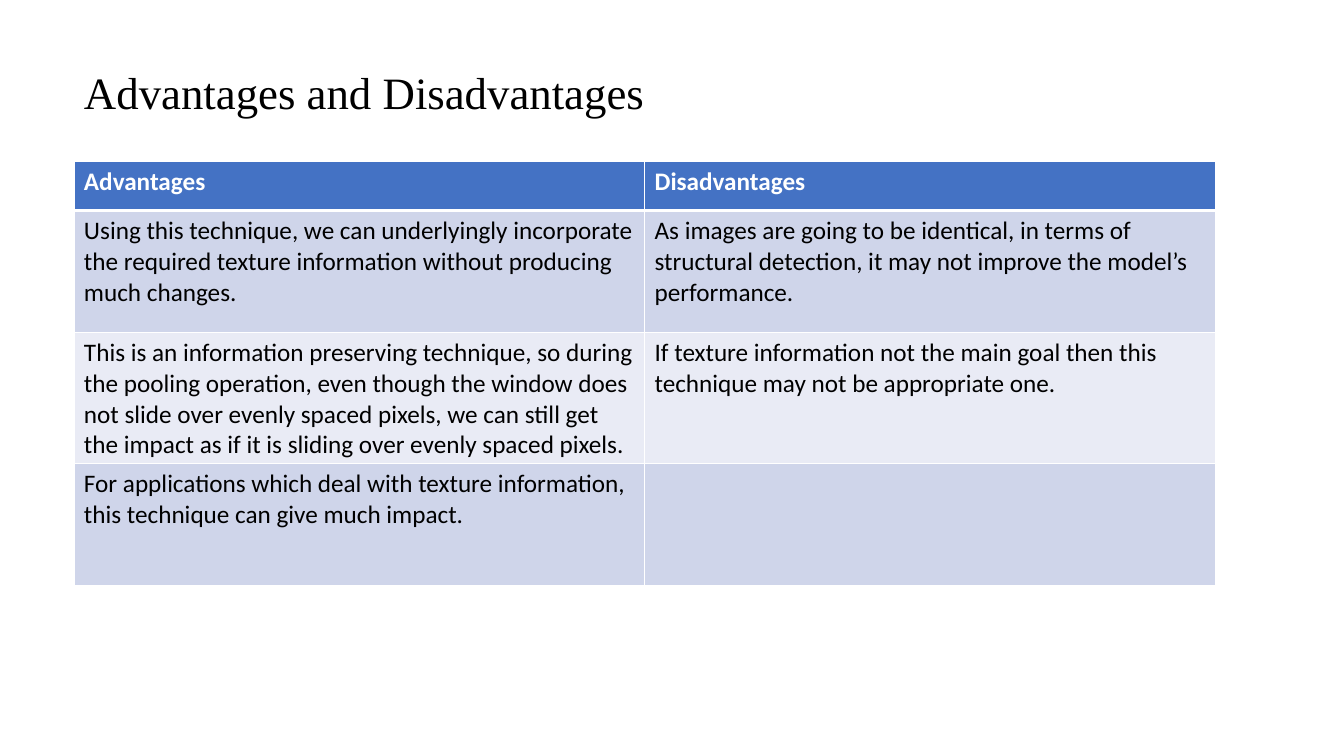
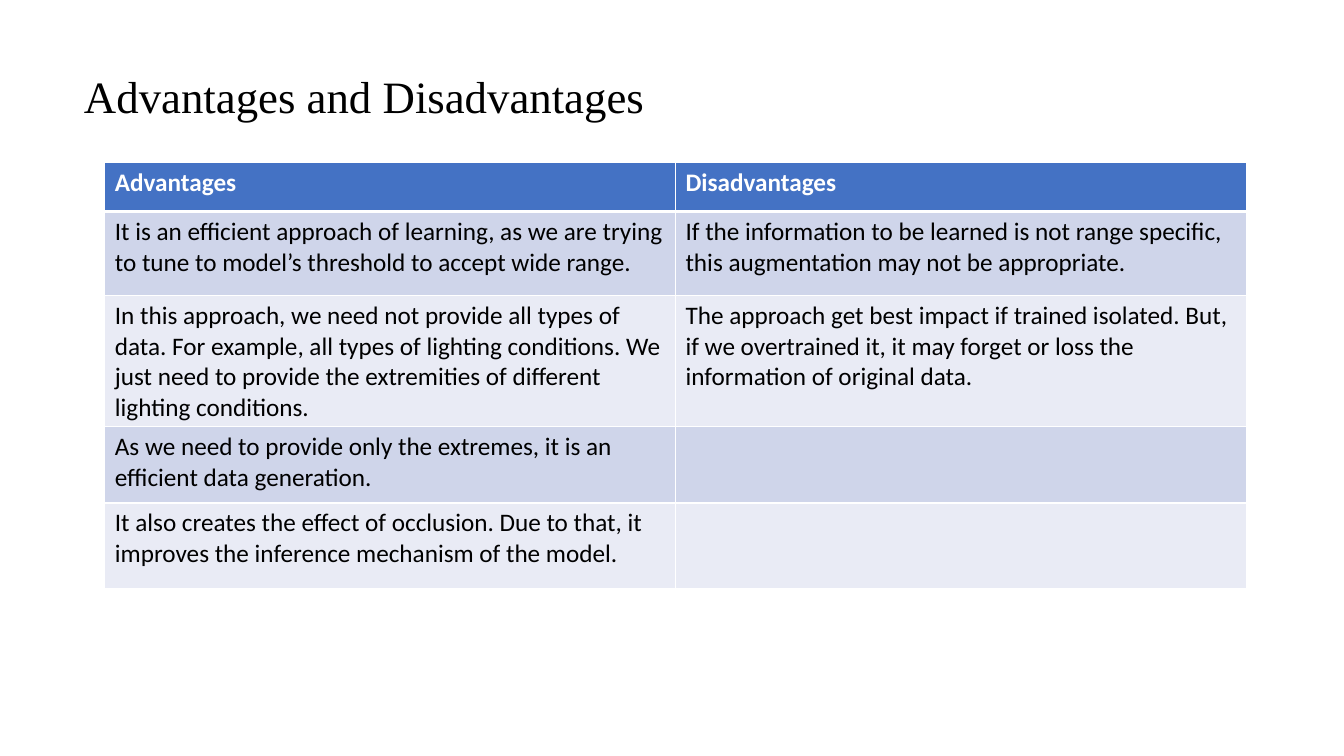
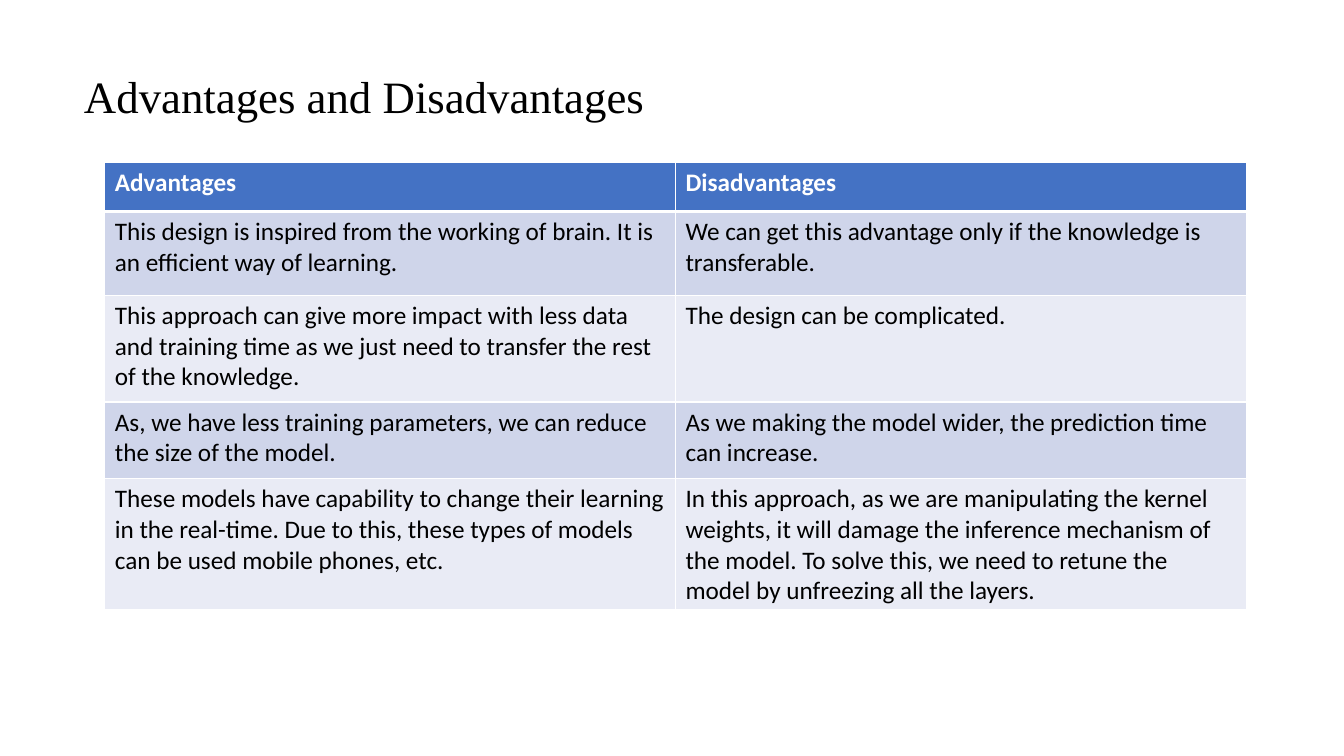
from lxml import etree
from pptx import Presentation
from pptx.dml.color import RGBColor
from pptx.enum.text import MSO_ANCHOR, MSO_AUTO_SIZE, PP_ALIGN
from pptx.oxml.ns import qn
from pptx.util import Inches, Pt

LEFT = PP_ALIGN.LEFT
TOP = MSO_ANCHOR.TOP
GROW = MSO_AUTO_SIZE.SHAPE_TO_FIT_TEXT

BLACK = RGBColor(0x00, 0x00, 0x00)
WHITE = RGBColor(0xFF, 0xFF, 0xFF)
HEADER_BLUE = RGBColor(0x44, 0x72, 0xC4)
BANDS = (RGBColor(0xCF, 0xD5, 0xEA), RGBColor(0xE9, 0xEB, 0xF5))

TITLE_FONT = "Times New Roman"
BODY_FONT = "Calibri"
TITLE_ONLY = 5
THIN, THICK = 1, 3

TITLE = "Advantages and Disadvantages"
HEADINGS = ("Advantages", "Disadvantages")

# Lengths are percentages of the slide's width or height.
TITLE_LEFT, TITLE_WIDTH, TITLE_HEIGHT = 5.5, 71.85, 8.53
COLUMN_WIDTH = 42.46
HEADER_HEIGHT = 6.53

SLIDES = [
    {
        "title_top": 7.87, "table_left": 5.5, "table_top": 21.33,
        "rows": [
            (16.13,
             "Using this technique, we can underlyingly incorporate the required texture "
             "information without producing much changes.",
             "As images are going to be identical, in terms of structural detection, it may "
             "not improve the model’s performance."),
            (10.27,
             "This is an information preserving technique, so during the pooling operation, "
             "even though the window does not slide over evenly spaced pixels, we can still "
             "get the impact as if it is sliding over evenly spaced pixels.",
             "If texture information not the main goal then this technique may not be "
             "appropriate one."),
            (16.13,
             "For applications which deal with texture information, this technique can give "
             "much impact.",
             ""),
        ],
    },
    {
        "title_top": 8.4, "table_left": 7.8, "table_top": 21.47,
        "rows": [
            (11.07,
             "It is an efficient approach of learning, as we are trying to tune to model’s "
             "threshold to accept wide range.",
             "If the information to be learned is not range specific, this augmentation may "
             "not be appropriate."),
            (16.13,
             "In this approach, we need not provide all types of data. For example, all types "
             "of lighting conditions. We just need to provide the extremities of different "
             "lighting conditions.",
             "The approach get best impact if trained isolated. But, if we overtrained it, it "
             "may forget or loss the information of original data."),
            (10.13,
             "As we need to provide only the extremes, it is an efficient data generation.",
             ""),
            (11.33,
             "It also creates the effect of occlusion. Due to that, it improves the inference "
             "mechanism of the model.",
             ""),
        ],
    },
    {
        "title_top": 8.4, "table_left": 7.8, "table_top": 21.47,
        "rows": [
            (11.07,
             "This design is inspired from the working of brain. It is an efficient way of "
             "learning.",
             "We can get this advantage only if the knowledge is transferable."),
            (14.13,
             "This approach can give more impact with less data and training time as we just "
             "need to transfer the rest of the knowledge.",
             "The design can be complicated."),
            (10.13,
             "As, we have less training parameters, we can reduce the size of the model.",
             "As we making the model wider, the prediction time can increase."),
            (11.33,
             "These models have capability to change their learning in the real-time. Due to "
             "this, these types of models can be used mobile phones, etc.",
             "In this approach, as we are manipulating the kernel weights, it will damage the "
             "inference mechanism of the model. To solve this, we need to retune the model by "
             "unfreezing all the layers."),
        ],
    },
]


def write_text(frame, text, *, font=BODY_FONT, size=18, color=BLACK, bold=False):
    paragraph = frame.paragraphs[0]
    paragraph.alignment = LEFT
    target = paragraph.font
    if text:
        span = paragraph.add_run()
        span.text = text
        target = span.font
    target.name = font
    target.size = Pt(size)
    target.bold = bold
    target.color.rgb = color


def set_borders(cell, top, bottom):
    """Draw white cell borders; call before filling, as lines precede the fill in the XML."""
    properties = cell._tc.get_or_add_tcPr()
    for side, width in (("L", THIN), ("R", THIN), ("T", top), ("B", bottom)):
        line = etree.SubElement(properties, qn(f"a:ln{side}"), w=str(Pt(width)))
        fill = etree.SubElement(line, qn("a:solidFill"))
        etree.SubElement(fill, qn("a:srgbClr"), val=str(WHITE))


class SlideBuilder:
    def __init__(self):
        self.deck = Presentation()
        self.deck.slide_width = Inches(13.33)
        self.deck.slide_height = Inches(7.5)
        self.slide = None

    def across(self, percent):
        return round(self.deck.slide_width * percent / 100)

    def down(self, percent):
        return round(self.deck.slide_height * percent / 100)

    def add_slide(self):
        self.slide = self.deck.slides.add_slide(self.deck.slide_layouts[TITLE_ONLY])

    def title(self, text, top):
        box = self.slide.shapes.title
        box.left, box.top = self.across(TITLE_LEFT), self.down(top)
        box.width, box.height = self.across(TITLE_WIDTH), self.down(TITLE_HEIGHT)
        frame = box.text_frame
        frame.word_wrap = True
        frame.auto_size = GROW
        frame.vertical_anchor = TOP
        write_text(frame, text, font=TITLE_FONT, size=32)

    def table(self, left, top, rows):
        """Add a banded table; each row is its height followed by its texts."""
        rows = [(HEADER_HEIGHT, *HEADINGS), *rows]
        count = len(HEADINGS)
        table = self.slide.shapes.add_table(
            len(rows), count, self.across(left), self.down(top),
            self.across(COLUMN_WIDTH * count), self.down(sum(row[0] for row in rows)),
        ).table
        for column in table.columns:
            column.width = self.across(COLUMN_WIDTH)
        for index, (height, *texts) in enumerate(rows):
            table.rows[index].height = self.down(height)
            header = index == 0
            for position, text in enumerate(texts):
                cell = table.cell(index, position)
                set_borders(cell, top=THICK if index == 1 else THIN,
                            bottom=THICK if header else THIN)
                cell.fill.solid()
                cell.fill.fore_color.rgb = HEADER_BLUE if header else BANDS[(index - 1) % 2]
                write_text(cell.text_frame, text, color=WHITE if header else BLACK, bold=header)


def main():
    builder = SlideBuilder()
    for content in SLIDES:
        builder.add_slide()
        builder.title(TITLE, content["title_top"])
        builder.table(content["table_left"], content["table_top"], content["rows"])
    builder.deck.save("out.pptx")


if __name__ == "__main__":
    main()
